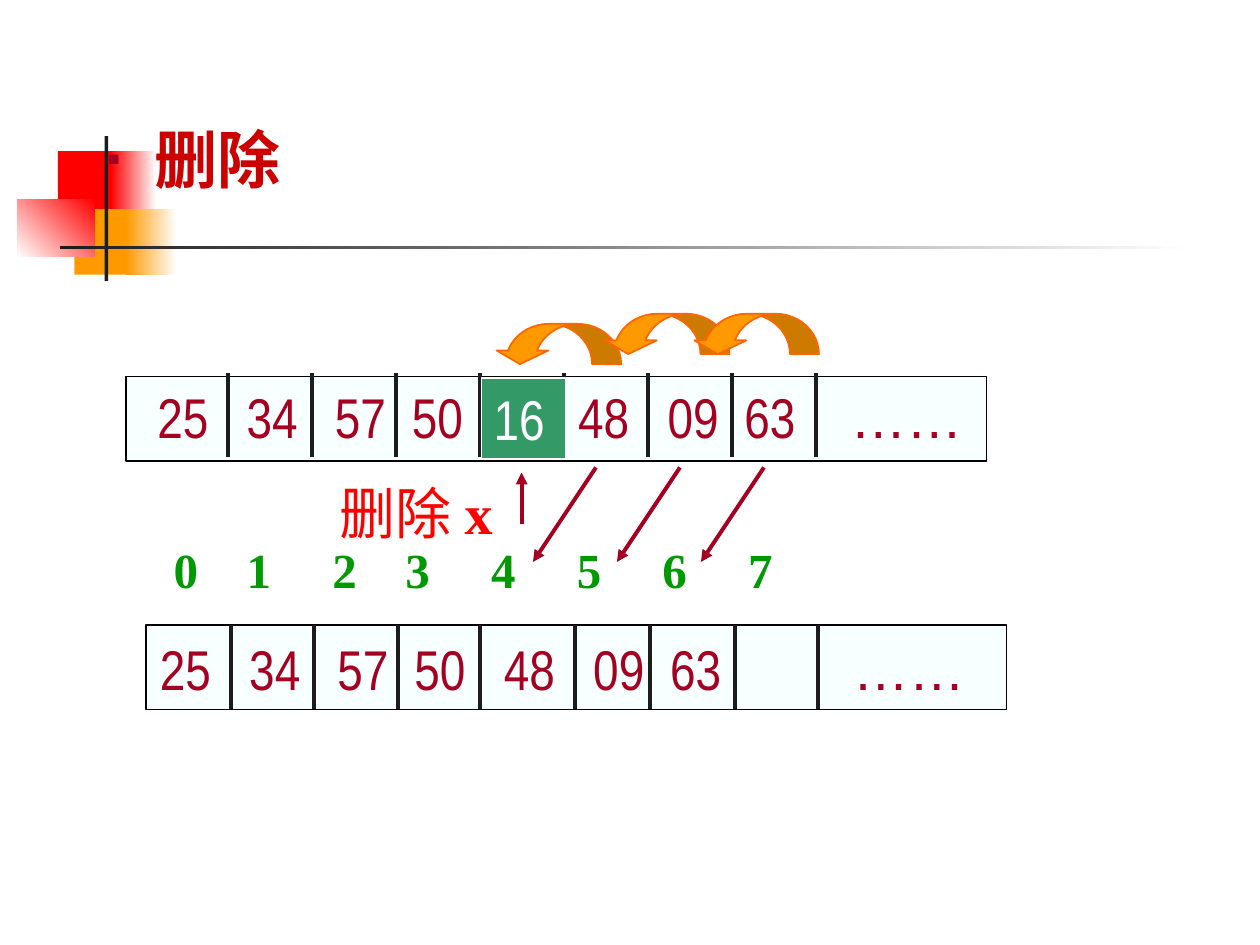
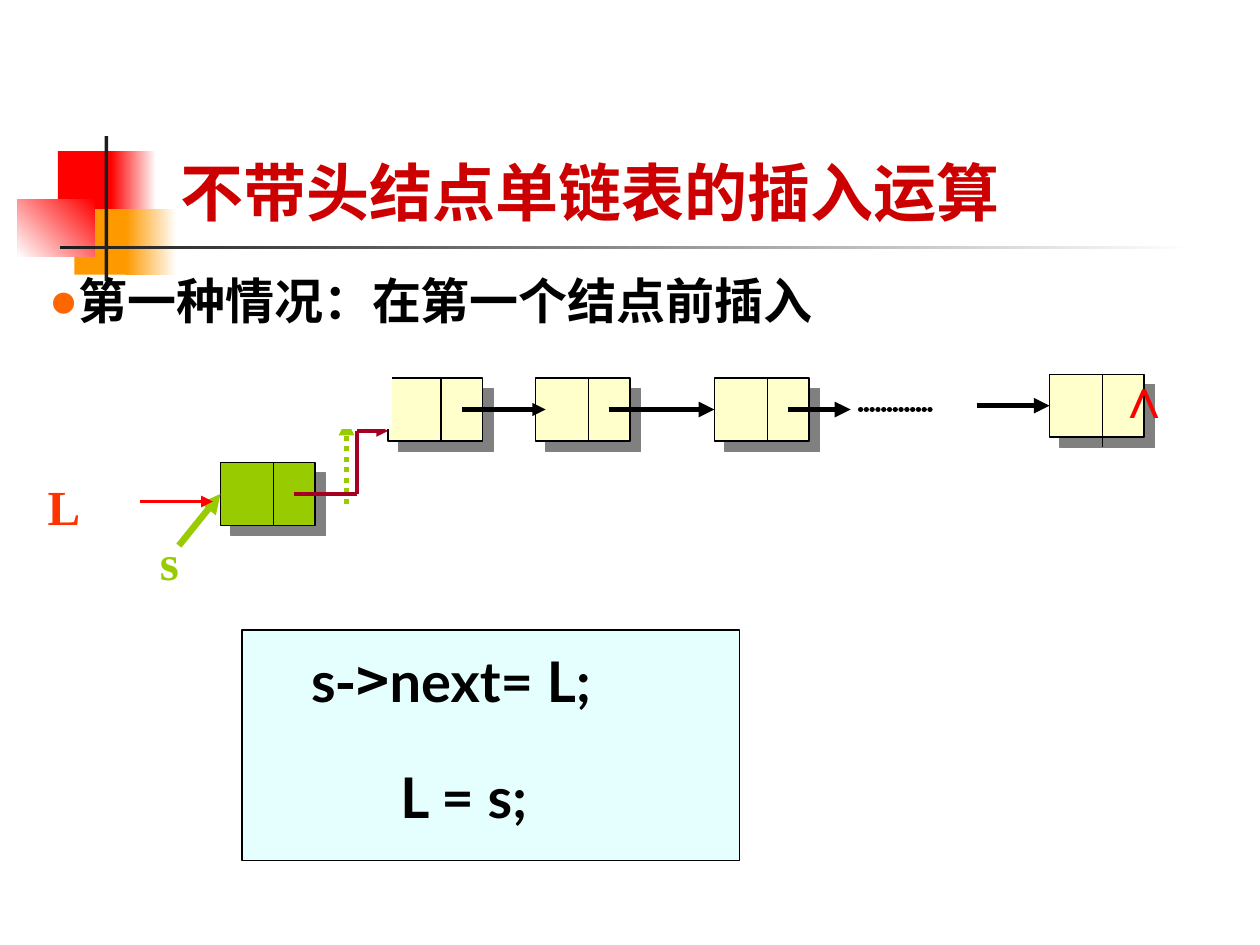
from dataclasses import dataclass
from lxml import etree
from pptx import Presentation
from pptx.dml.color import RGBColor
from pptx.enum.dml import MSO_LINE
from pptx.enum.shapes import MSO_CONNECTOR, MSO_SHAPE
from pptx.enum.text import MSO_ANCHOR, MSO_AUTO_SIZE, PP_ALIGN
from pptx.oxml.ns import qn
from pptx.util import Inches, Pt

RECT = MSO_SHAPE.RECTANGLE
ARC = MSO_SHAPE.CURVED_DOWN_ARROW
LINE = MSO_CONNECTOR.STRAIGHT
DOT = MSO_LINE.ROUND_DOT
LEFT = PP_ALIGN.LEFT
TOP = MSO_ANCHOR.TOP
FIXED = MSO_AUTO_SIZE.NONE
TITLE_ONLY = 5


@dataclass(frozen=True)
class Theme:
    black: str = "000000"
    white: str = "FFFFFF"
    ink: str = "1C1C1C"
    red: str = "FF0000"
    amber: str = "FF9900"
    rust: str = "FF6600"
    flame: str = "FF3300"
    head: str = "CC0000"
    wine: str = "A50021"
    pale: str = "E5FFFF"
    aqua: str = "CCFFFF"
    cream: str = "FFFFCC"
    lime: str = "99CC00"
    green: str = "009900"
    jade: str = "339966"
    gray: str = "808080"
    big: int = 36
    mid: int = 32
    small: int = 28
    sans: str = "Lato"
    thin: str = "Arial Narrow"
    plain: str = "Arial"
    serif: str = "Times New Roman"
    han: str = "Noto Sans CJK SC"


T = Theme()


def rgb(code):
    return RGBColor.from_string(code)


def child(node, tag, **attrs):
    return etree.SubElement(node, qn("a:" + tag), attrs)


class Deck:
    def __init__(self, theme):
        self.theme = theme
        self.show = Presentation()
        self.show.slide_width = Inches(10)
        self.show.slide_height = Inches(7.5)
        self.slide = None

    def start(self):
        layout = self.show.slide_layouts[TITLE_ONLY]
        self.slide = self.show.slides.add_slide(layout)

    def share(self, shapes):
        tree = self.show.slide_master.shapes._spTree
        for spot, shape in enumerate(shapes, 2):
            tree.insert(spot, shape._element)

    def shape(self, box, fill, edge=None, kind=RECT, alpha=None, width=0.75):
        item = self.slide.shapes.add_shape(kind, *map(Inches, box))
        item.shadow.inherit = False
        item.fill.solid()
        item.fill.fore_color.rgb = rgb(fill)
        if alpha:
            tint = item._element.spPr.find(".//" + qn("a:srgbClr"))
            child(tint, "alpha", val=str(alpha * 1000))
        if edge:
            item.line.color.rgb = rgb(edge)
            item.line.width = Pt(width)
        else:
            item.line.fill.background()
        return item

    def fade(self, box, first, last, angle=180):
        item = self.shape(box, first)
        item.fill.gradient()
        item.fill.gradient_angle = angle
        for stop, code in zip(item.fill.gradient_stops, (first, last)):
            stop.color.rgb = rgb(code)
        return item

    def node(self, left, top, fill, drop=0):
        item = self.shape((left, top, 0.75, 0.5), fill, self.theme.black)
        glow = item._element.spPr.find(qn("a:effectLst"))
        cast = child(glow, "outerShdw", dist=str(Pt(8.5)), dir="2700000",
                     algn="ctr", rotWithShape="0")
        child(cast, "srgbClr", val=self.theme.gray)
        mid = left + 0.42
        self.line((mid, top), (mid, top + 0.5 + drop), self.theme.black, 0.75)

    def arc(self, left, top):
        item = self.shape((left, top, 1.01, 0.32), self.theme.amber,
                          self.theme.rust, ARC, width=1)
        for spot, value in enumerate((0.72, 1.29, 0.34)):
            item.adjustments[spot] = value
        item._element.spPr.xfrm.set("flipH", "1")

    def line(self, start, end, code, width, arrow=False, dash=None):
        item = self.slide.shapes.add_connector(LINE, *map(Inches, start + end))
        item.line.color.rgb = rgb(code)
        item.line.width = Pt(width)
        if dash:
            item.line.dash_style = dash
        if arrow:
            child(item.line._ln, "tailEnd", type="triangle")
        child(item._element.spPr, "effectLst")
        return item

    def dots(self, start, end, code, width):
        stroke = self.line(start, end, code, width).line._ln
        stroke.set("cap", "rnd")
        child(child(stroke, "custDash"), "ds", d="100000", sp="10000")

    def label(self, item, runs, bullet=None, tabs=()):
        frame = item.text_frame
        frame.word_wrap = True
        frame.auto_size = FIXED
        frame.vertical_anchor = TOP
        frame.margin_left = frame.margin_right = Inches(0.1)
        frame.margin_top = frame.margin_bottom = Inches(0.05)
        para = frame.paragraphs[0]
        para.alignment = LEFT
        props = para._p.get_or_add_pPr()
        if bullet:
            mark, code, size, margin, indent = bullet
            props.set("marL", str(Inches(margin)))
            props.set("indent", str(Inches(indent)))
            child(child(props, "buClr"), "srgbClr", val=code)
            child(props, "buSzPct", val=str(size * 1000))
            child(props, "buFont", typeface=self.theme.plain)
            child(props, "buChar", char=mark)
        if tabs:
            stops = child(props, "tabLst")
            for tab in tabs:
                child(stops, "tab", pos=str(Inches(tab)), algn="l")
        for words, size, face, code, bold in runs:
            run = para.add_run()
            run.text = words
            font = run.font
            font.size = Pt(size)
            font.bold = bold
            font.color.rgb = rgb(code)
            font.name = face
            child(run._r.get_or_add_rPr(), "ea", typeface=self.theme.han)

    def text(self, box, *runs, **look):
        item = self.slide.shapes.add_textbox(*map(Inches, box))
        self.label(item, runs, **look)

    def title(self, box, words, bullet=None):
        item = self.slide.shapes.title
        item.left, item.top, item.width, item.height = map(Inches, box)
        t = self.theme
        self.label(item, [(words, t.big, t.sans, t.head, True)], bullet)

    def row(self, left, top, alpha, box, words, tabs, walls, peak):
        t = self.theme
        self.shape((left, top, 6.83, 0.67), t.pale, t.black, alpha=alpha)
        self.text(box, (words, t.mid, t.thin, t.wine, False),
                  ("……", t.mid, t.plain, t.wine, False), tabs=tabs)
        for wall in walls:
            self.line((wall, peak), (wall, peak + 0.67), t.ink, 2.25)


def motif(deck):
    deck.share([
        deck.shape((0.46, 1.2, 0.48, 0.52), T.red),
        deck.fade((0.88, 1.2, 0.36, 0.52), T.white, T.red),
        deck.shape((0.59, 1.66, 0.46, 0.52), T.amber),
        deck.fade((1, 1.66, 0.4, 0.52), T.white, T.amber),
        deck.fade((0.14, 1.58, 0.61, 0.46), T.red, T.white, 225),
        deck.shape((0.83, 1.08, 0.03, 1.15), T.ink),
        deck.fade((0.48, 1.95, 9, 0.03), T.white, T.ink),
    ])


def erase(deck):
    deck.title((0.75, 0.91, 8.5, 0.9), "删除", ("▪", T.wine, 60, 0.38, -0.38))

    deck.row(1, 2.99, 24, (1.15, 2.99, 6.74, 0.64),
             "25\t34\t57\t50\t16\t48\t09\t63\t",
             (0.71, 1.41, 2.02, 2.64, 3.34, 4.05, 4.66, 5.5),
             [1.81 + step * 2 / 3 for step in range(8)], 2.96)

    cell = deck.shape((3.82, 3, 0.67, 0.64), T.jade, T.white)
    deck.label(cell, [("16", T.mid, T.thin, T.white, False)])
    deck.line((4.14, 4.16), (4.14, 3.75), T.wine, 2.25, True)
    deck.text((2.6, 3.75, 1.7, 0.64), ("删除 ", T.mid, T.serif, T.red, False),
              ("x", T.mid, T.serif, T.red, True))

    deck.row(1.16, 4.96, 23, (1.17, 4.99, 6.74, 0.64),
             "25\t34\t57\t50\t48\t09\t63\t",
             (0.71, 1.41, 2.02, 2.73, 3.44, 4.05, 5.5),
             (1.83, 2.49, 3.16, 3.81, 4.56, 5.16, 5.83, 6.49), 4.96)
    deck.text((1.28, 4.23, 5.2, 0.57),
              ("\t".join(map(str, range(8))), T.small, T.serif, T.green, True),
              tabs=(0.58, 1.26, 1.84, 2.52, 3.2, 3.88, 4.56))

    for step in range(3):
        x = 4.73 + step * 2 / 3
        deck.line((x, 3.71), (x - 0.5, 4.46), T.wine, 2.25, True)
    for left, top in ((3.92, 2.57), (4.78, 2.49), (5.49, 2.49)):
        deck.arc(left, top)


def insert(deck):
    deck.title((1.33, 1.17, 7.5, 0.7), "不带头结点单链表的插入运算")
    deck.text((0, 2.1, 8.66, 0.57),
              ("第一种情况：在第一个结点前插入", T.small, T.han, T.black, True),
              bullet=("●", T.rust, 100, 0.29, 0))

    for left in (3.08, 4.25, 5.67):
        deck.node(left, 3, T.cream)
    deck.node(8.33, 2.97, T.cream, 0.08)
    for x, end, y, width in ((3.67, 4.33, 3.25, 2.5), (4.83, 5.67, 3.25, 3),
                             (6.25, 6.75, 3.25, 3), (7.75, 8.33, 3.22, 3)):
        deck.line((x, y), (end, y), T.black, width, True)
    deck.dots((6.83, 3.25), (7.42, 3.25), T.black, 3)
    deck.text((8.76, 2.83, 0.35, 0.64), ("∧", T.mid, T.plain, T.red, True))

    deck.line((2.75, 4), (2.75, 3.33), T.lime, 3, True, DOT)
    deck.text((1.17, 4.17, 2.33, 0.57), ("s", T.small, T.serif, T.lime, True))
    deck.node(1.75, 3.67, T.lime)
    deck.line((1.42, 4.33), (1.75, 3.92), T.lime, 3.75, True)

    deck.shape((1.92, 5, 3.95, 1.83), T.aqua, T.black, alpha=50)
    deck.text((3.08, 6, 5.07, 0.64), ("L = s;", T.mid, T.sans, T.black, True))
    deck.text((2.37, 5.08, 2.71, 0.64),
              *((words, T.mid, face, T.black, True) for words, face in
                (("s", T.sans), ("->", T.han), ("next= L;", T.sans))))

    bends = ((2.33, 3.92), (2.83, 3.92), (2.83, 3.42), (3.08, 3.42))
    for start, end in zip(bends, bends[1:]):
        deck.line(start, end, T.wine, 2.25, end == bends[-1])
    deck.text((0.28, 3.73, 0.46, 0.57), ("L", T.small, T.serif, T.flame, True))
    deck.line((1.11, 3.98), (1.69, 3.98), T.red, 2.25, True)
    deck.shape((1.86, 2.98, 1.25, 0.42), T.white, T.white)


def main():
    deck = Deck(T)
    deck.start()
    motif(deck)
    erase(deck)
    deck.start()
    insert(deck)
    deck.show.save("out.pptx")


if __name__ == "__main__":
    main()
